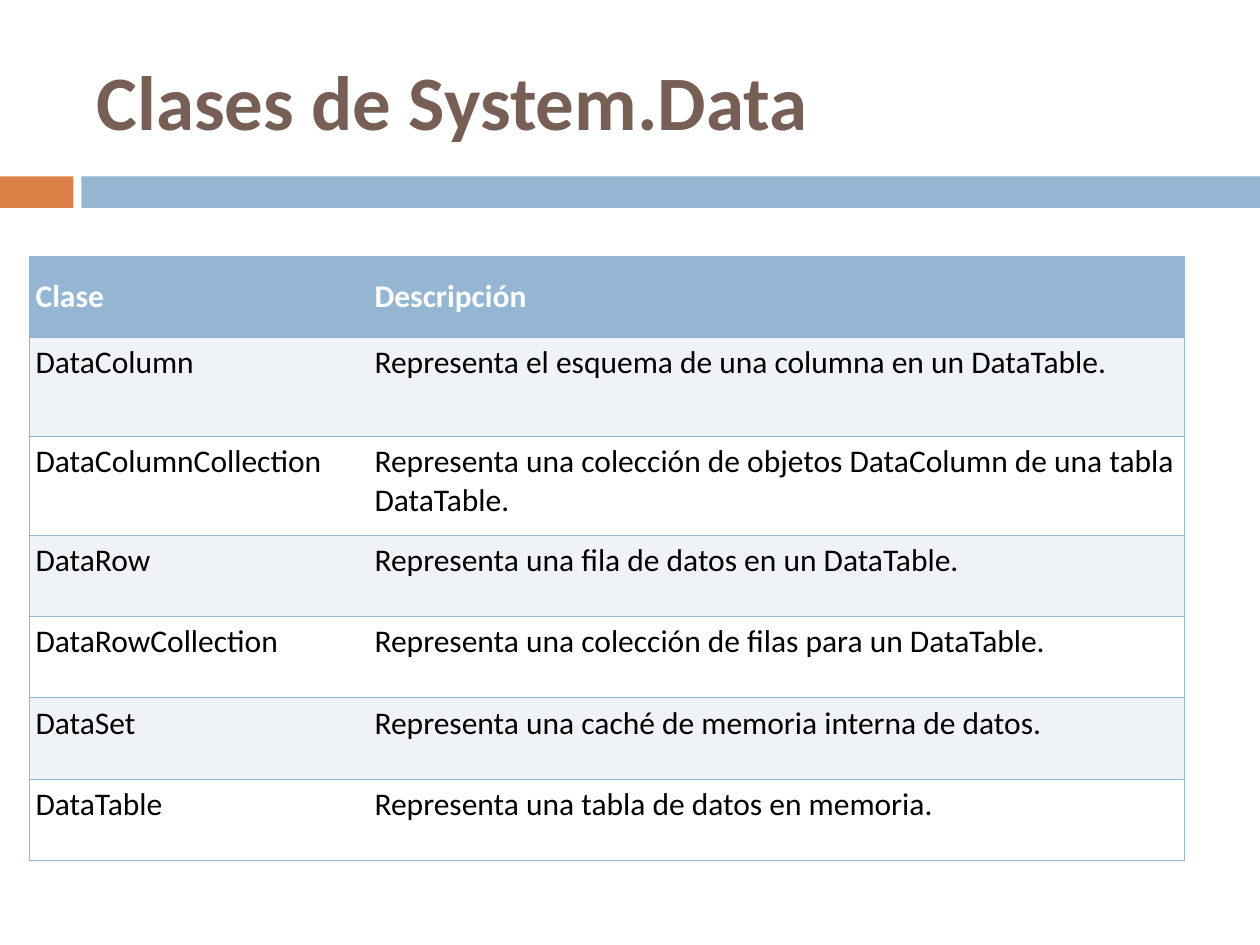
from dataclasses import dataclass

from lxml import etree
from pptx import Presentation
from pptx.dml.color import RGBColor
from pptx.enum.shapes import MSO_SHAPE
from pptx.enum.text import MSO_ANCHOR, PP_ALIGN
from pptx.oxml.ns import qn
from pptx.util import Pt

RECT = MSO_SHAPE.RECTANGLE
MIDDLE, TOP = MSO_ANCHOR.MIDDLE, MSO_ANCHOR.TOP
LEFT = PP_ALIGN.LEFT
TITLE_ONLY = 5


@dataclass(frozen=True)
class Theme:
    font: str = "Calibri"
    title_size: float = 44
    cell_size: float = 18
    brown: str = "775F55"
    orange: str = "DD8047"
    blue: str = "94B6D2"
    pale: str = "EFF3F7"
    white: str = "FFFFFF"
    black: str = "000000"
    rule: float = 0.45


THEME = Theme()

ROWS = [
    ("Clase", "Descripción"),
    ("DataColumn", "Representa el esquema de una columna en un DataTable."),
    ("DataColumnCollection",
     "Representa una colección de objetos DataColumn de una tabla DataTable."),
    ("DataRow", "Representa una fila de datos en un DataTable."),
    ("DataRowCollection", "Representa una colección de filas para un DataTable."),
    ("DataSet", "Representa una caché de memoria interna de datos."),
    ("DataTable", "Representa una tabla de datos en memoria."),
]
WIDTHS = (193.7, 466.6)
HEIGHTS = (46.5, 56.5, 56.5, 46.5, 46.5, 46.5, 46.5)


def paint(fill, color):
    fill.solid()
    fill.fore_color.rgb = RGBColor.from_string(color)


def style(frame, size, color, bold):
    para = frame.paragraphs[0]
    para.alignment = LEFT
    for run in para.runs:
        font = run.font
        font.name, font.size, font.bold = THEME.font, Pt(size), bold
        font.color.rgb = RGBColor.from_string(color)


def add_title(slide, text):
    title = slide.shapes.title
    title.left, title.top = Pt(48), Pt(18)
    title.width, title.height = Pt(642), Pt(78)
    frame = title.text_frame
    frame.text = text
    frame.vertical_anchor = MIDDLE
    style(frame, THEME.title_size, THEME.brown, True)


def add_bar(slide, left, width, color):
    bar = slide.shapes.add_shape(RECT, Pt(left), Pt(100.8), Pt(width), Pt(18))
    bar.shadow.inherit = False
    paint(bar.fill, color)
    bar.line.fill.background()


def add_edges(cell, hidden):
    """Rule every side of a cell but the hidden one."""
    props = cell._tc.get_or_add_tcPr()
    for side in "LRTB":
        line = etree.SubElement(props, qn(f"a:ln{side}"), w=str(Pt(THEME.rule)))
        if side == hidden:
            etree.SubElement(line, qn("a:noFill"))
        else:
            fill = etree.SubElement(line, qn("a:solidFill"))
            etree.SubElement(fill, qn("a:srgbClr"), val=THEME.blue)


def fill_cell(cell, text, row, col):
    head = row == 0
    cell.margin_left = cell.margin_right = Pt(3.75)
    cell.margin_top = cell.margin_bottom = Pt(3.75)
    cell.vertical_anchor = MIDDLE if head else TOP
    add_edges(cell, "L" if col else "R")
    band = THEME.pale if row % 2 else THEME.white
    paint(cell.fill, THEME.blue if head else band)
    cell.text_frame.text = text
    ink = THEME.white if head else THEME.black
    style(cell.text_frame, THEME.cell_size, ink, head)


def add_grid(slide):
    frame = slide.shapes.add_table(
        len(ROWS), len(WIDTHS), Pt(16.6), Pt(146.2),
        Pt(sum(WIDTHS)), Pt(sum(HEIGHTS)))
    table = frame.table
    for column, width in zip(table.columns, WIDTHS):
        column.width = Pt(width)
    for r, (texts, height) in enumerate(zip(ROWS, HEIGHTS)):
        table.rows[r].height = Pt(height)
        for c, text in enumerate(texts):
            fill_cell(table.cell(r, c), text, r, c)


def main():
    deck = Presentation()
    deck.slide_width, deck.slide_height = Pt(720), Pt(540)
    slide = deck.slides.add_slide(deck.slide_layouts[TITLE_ONLY])

    # Divider under the title
    add_bar(slide, 0, 42, THEME.orange)
    add_bar(slide, 46.5, 673.5, THEME.blue)

    # Heading and class table
    add_title(slide, "Clases de System.Data")
    add_grid(slide)

    deck.save("out.pptx")


if __name__ == "__main__":
    main()
